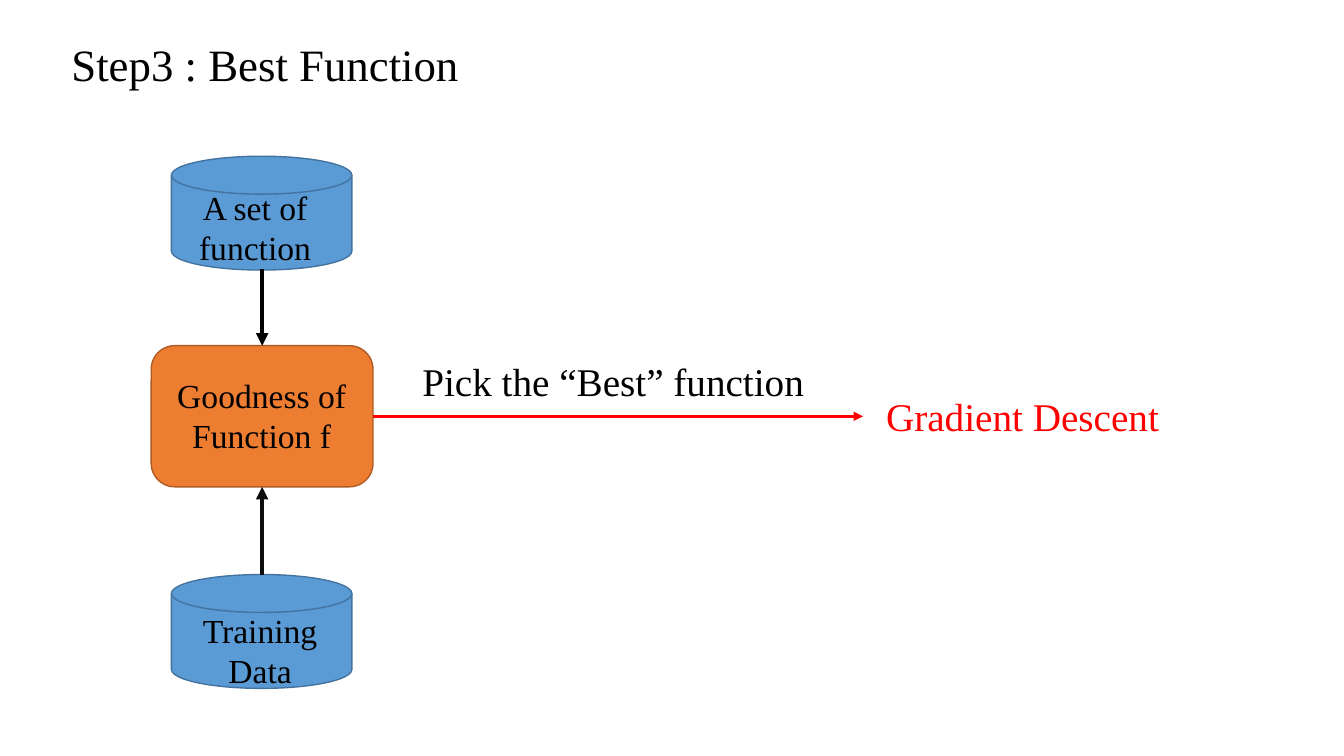
from lxml.etree import SubElement
from pptx import Presentation
from pptx.dml.color import RGBColor
from pptx.enum.shapes import MSO_CONNECTOR, MSO_SHAPE
from pptx.enum.text import MSO_AUTO_SIZE, PP_ALIGN
from pptx.oxml.ns import qn
from pptx.util import Inches, Pt

BLACK, RED = "000000", "FF0000"
BLUE, ORANGE = "5B9BD5", "ED7D31"


def color(code):
    return RGBColor.from_string(code)


class Sketch:
    face = "Times New Roman"

    def __init__(self, slide):
        self.slide = slide

    def shape(self, kind, box, fill, edge):
        item = self.slide.shapes.add_shape(kind, *map(Inches, box))
        item.shadow.inherit = False
        item.fill.solid()
        item.fill.fore_color.rgb = color(fill)
        item.line.color.rgb = color(edge)
        item.line.width = Pt(1)
        return item

    def text(self, box, lines, size, ink=BLACK, wrap=False):
        frame = self.slide.shapes.add_textbox(*map(Inches, box)).text_frame
        frame.word_wrap = wrap
        frame.auto_size = MSO_AUTO_SIZE.SHAPE_TO_FIT_TEXT
        frame.text = lines
        style = {"name": self.face, "size": Pt(size)}
        for para in frame.paragraphs:
            para.alignment = PP_ALIGN.CENTER if wrap else PP_ALIGN.LEFT
            for run in para.runs:
                for key, value in style.items():
                    setattr(run.font, key, value)
                run.font.color.rgb = color(ink)

    def arrow(self, start, end, ink, width):
        link = self.slide.shapes.add_connector(
            MSO_CONNECTOR.STRAIGHT, *map(Inches, start + end))
        link.line.color.rgb = color(ink)
        link.line.width = Pt(width)
        SubElement(link.line._get_or_add_ln(), qn("a:tailEnd"), type="triangle")
        SubElement(link._element.spPr, qn("a:effectLst"))
        return link


def main():
    deck = Presentation()
    deck.slide_width, deck.slide_height = Inches(13.33), Inches(7.5)
    art = Sketch(deck.slides.add_slide(deck.slide_layouts[6]))

    # Title
    art.text((0.61, 0.32, 4.08, 0.64), "Step3 : Best Function", 32)

    # Two stores around the goodness box
    for top in (1.55, 5.7):
        art.shape(MSO_SHAPE.FLOWCHART_MAGNETIC_DISK, (1.7, top, 1.79, 1.13),
                  BLUE, "43739E")
    goal = art.shape(MSO_SHAPE.ROUNDED_RECTANGLE, (1.5, 3.43, 2.2, 1.4),
                     ORANGE, "AF5C24")

    # Arrows into the box and out to the method
    art.arrow((2.6, 2.67), (2.6, 3.43), BLACK, 3).end_connect(goal, 0)
    art.arrow((2.6, 5.7), (2.6, 4.83), "0D0D0D", 3).end_connect(goal, 2)
    art.arrow((3.7, 4.13), (8.56, 4.13), RED, 2.25).begin_connect(goal, 3)

    # Labels
    for box, words in (
        ((1.65, 1.8, 1.76, 0.91), "A set of function"),
        ((1.62, 3.67, 1.95, 0.91), "Goodness of Function f"),
        ((1.7, 6, 1.76, 0.91), "Training\nData"),
    ):
        art.text(box, words, 24, wrap=True)
    art.text((4.09, 3.5, 4.02, 0.57), "Pick the “Best” function", 28)
    art.text((8.69, 3.84, 2.93, 0.57), "Gradient Descent", 28, RED)

    deck.save("out.pptx")


if __name__ == "__main__":
    main()
